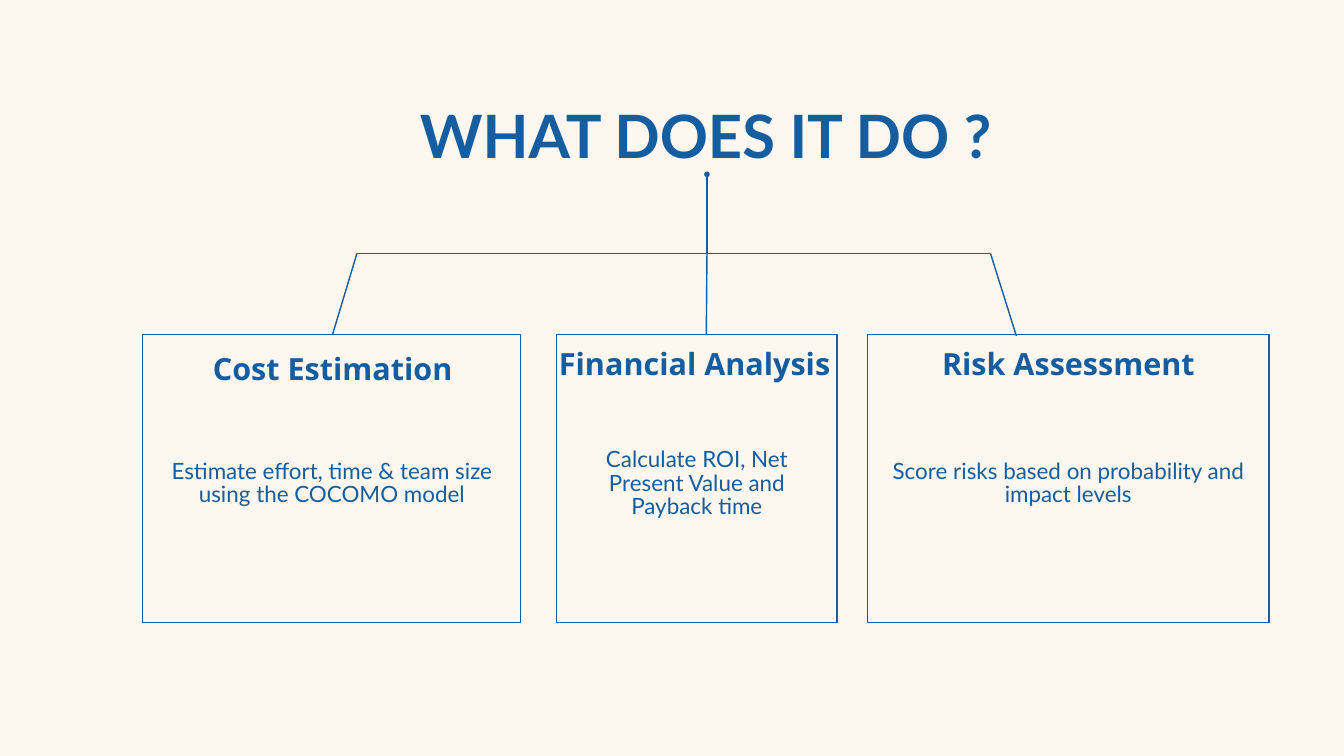
from pptx import Presentation
from pptx.dml.color import RGBColor
from pptx.enum.shapes import MSO_CONNECTOR, MSO_SHAPE
from pptx.enum.text import MSO_ANCHOR, PP_ALIGN
from pptx.oxml.ns import qn
from pptx.util import Pt
from lxml.etree import SubElement

PX = 9525  # EMU per px, 96 px to the inch
BLUE = RGBColor(0x14, 0x5D, 0xA0)
CREAM = RGBColor(0xFD, 0xF7, 0xF0)


class Board:
    """Holds the style and the current slide."""

    def __init__(self, slide, color, width):
        self.slide = slide
        self.color = color
        self.width = Pt(width)

    def paint(self, line):
        line.color.rgb = self.color
        line.width = self.width

    def frame(self, x, y, w, h):
        box = self.slide.shapes.add_shape(
            MSO_SHAPE.RECTANGLE, x * PX, y * PX, w * PX, h * PX)
        box.shadow.inherit = False
        box.fill.background()
        self.paint(box.line)

    def line(self, x1, y1, x2, y2, dot=False):
        link = self.slide.shapes.add_connector(
            MSO_CONNECTOR.STRAIGHT, x1 * PX, y1 * PX, x2 * PX, y2 * PX)
        self.paint(link.line)
        props = link._element.spPr
        if dot:
            SubElement(props.find(qn("a:ln")), qn("a:headEnd"), type="oval")
        SubElement(props, qn("a:effectLst"))

    def text(self, words, x, y, w, h, size, lead, font="Lato", bold=False,
             inset=0, anchor=MSO_ANCHOR.TOP):
        box = self.slide.shapes.add_textbox(x * PX, y * PX, w * PX, h * PX)
        body = box.text_frame
        body.word_wrap = True
        body.vertical_anchor = anchor
        body.margin_left = body.margin_right = inset * PX
        body.margin_top = body.margin_bottom = inset * PX
        para = body.paragraphs[0]
        para.text = words
        para.alignment = PP_ALIGN.CENTER
        para.line_spacing = Pt(lead)
        para.font.name = font
        para.font.size = Pt(size)
        para.font.bold = bold
        para.font.color.rgb = self.color


def main():
    deck = Presentation()
    deck.slide_width, deck.slide_height = 1920 * PX, 1080 * PX
    slide = deck.slides.add_slide(deck.slide_layouts[6])
    slide.background.fill.solid()
    slide.background.fill.fore_color.rgb = CREAM
    board = Board(slide, BLUE, 1.5)

    # Title
    board.text("WHAT DOES IT DO ?", 204, 164, 1608, 85, 64, 60.1, bold=True)

    # Tree: bar, side branches, stem
    top, bar = 478, 362
    left, mid, right = 510, 1010, 1415
    board.line(left, bar, right, bar)
    board.line(left, bar, 475, top)
    board.line(1452, top + 2, right, bar)
    board.line(mid, 249, mid, bar, dot=True)
    board.line(mid, bar, mid - 1, top)

    # Cards: left, width, heading left and top, heading, detail
    cards = [
        (204, 540, 275, 491, "Cost Estimation",
         "Estimate effort, time & team size using the COCOMO model"),
        (795, 401, 792, 484, "Financial Analysis",
         "Calculate ROI, Net Present Value and Payback time"),
        (1239, 574, 1326, 484, "Risk Assessment",
         "Score risks based on probability and impact levels"),
    ]
    for x, w, head_x, head_y, head, detail in cards:
        board.frame(x, top, w, 411)
        board.text(detail, x, top + 15, w, 396, 24, 25.4,
                   inset=27, anchor=MSO_ANCHOR.MIDDLE)
        board.text(head, head_x, head_y, 401, 60, 32.7, 45.8,
                   font="Open Sans", bold=True)

    deck.save("out.pptx")


if __name__ == "__main__":
    main()
